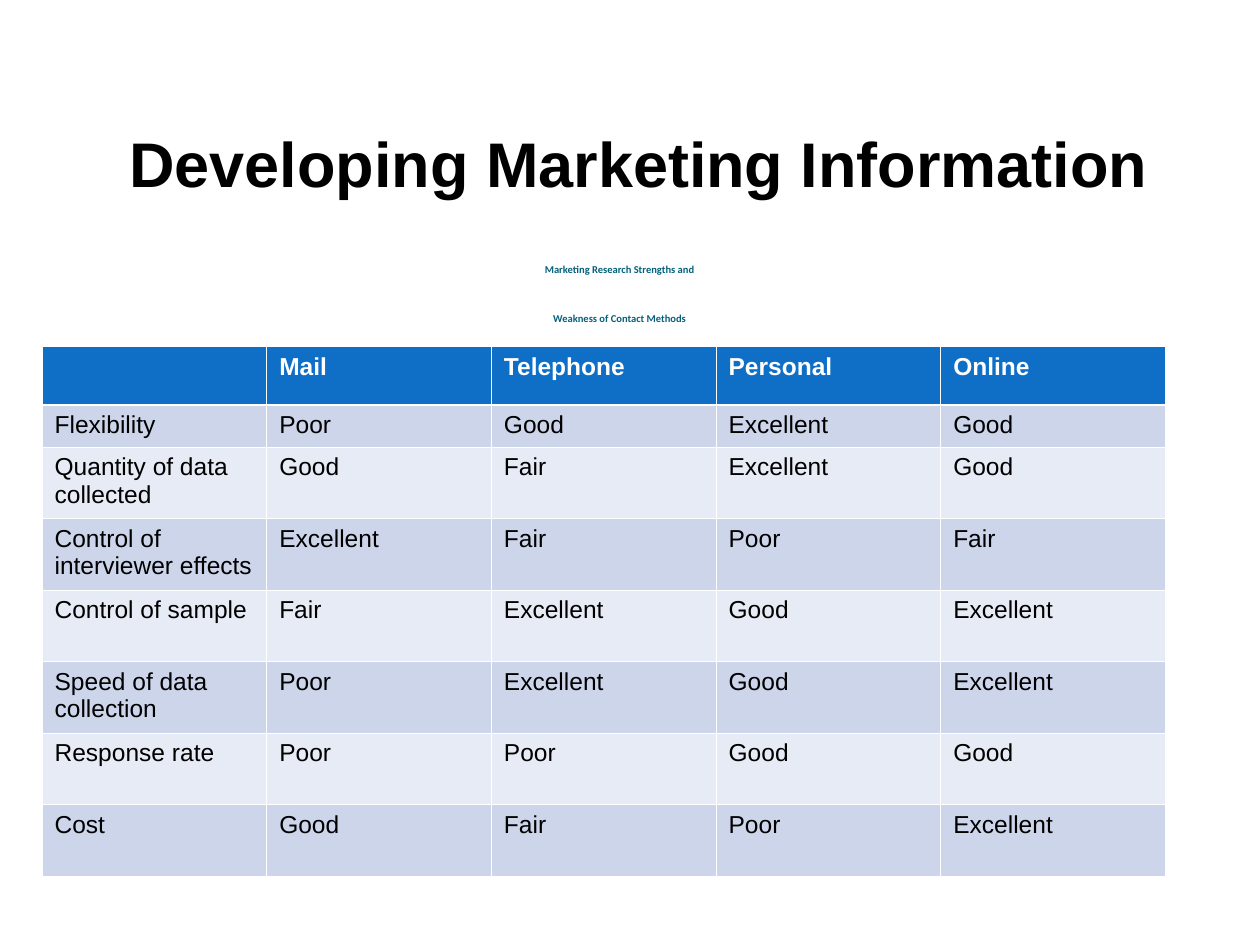
from dataclasses import dataclass

from lxml import etree
from pptx import Presentation
from pptx.dml.color import RGBColor
from pptx.enum.text import MSO_ANCHOR, MSO_AUTO_SIZE, PP_ALIGN
from pptx.oxml.ns import qn
from pptx.util import Pt

CENTER, LEFT = PP_ALIGN.CENTER, PP_ALIGN.LEFT
MIDDLE, TOP = MSO_ANCHOR.MIDDLE, MSO_ANCHOR.TOP
NO_AUTOFIT = MSO_AUTO_SIZE.NONE

COLORS = {
    "black": "000000",
    "white": "FFFFFF",
    "teal": "04617B",
    "header": "0F6FC6",
    "dark_band": "CCD5EA",
    "light_band": "E7EBF5",
}
THIN, THICK = 0.45, 1.47
COLUMN_WIDTH = 128.4
HEADER_HEIGHT, SHORT_HEIGHT, TALL_HEIGHT = 33.5, 24, 40.9


@dataclass
class Rating:
    criterion: str
    scores: tuple[str, ...]
    height: float = TALL_HEIGHT


METHODS = Rating("", ("Mail", "Telephone", "Personal", "Online"), HEADER_HEIGHT)
RATINGS = [
    Rating("Flexibility", ("Poor", "Good", "Excellent", "Good"), SHORT_HEIGHT),
    Rating("Quantity of data collected", ("Good", "Fair", "Excellent", "Good")),
    Rating("Control of interviewer effects", ("Excellent", "Fair", "Poor", "Fair")),
    Rating("Control of sample", ("Fair", "Excellent", "Good", "Excellent")),
    Rating("Speed of data collection", ("Poor", "Excellent", "Good", "Excellent")),
    Rating("Response rate", ("Poor", "Poor", "Good", "Good")),
    Rating("Cost", ("Good", "Fair", "Poor", "Excellent")),
]


def write_text(frame, *lines: str, size: float, color: str, font: str = "Arial",
               bold: bool = False, align=LEFT, spacing: float | None = None) -> None:
    """Fill a text frame with one unbulleted paragraph per line."""
    for index, line in enumerate(lines):
        para = frame.paragraphs[0] if index == 0 else frame.add_paragraph()
        etree.SubElement(para._p.get_or_add_pPr(), qn("a:buNone"))
        para.alignment = align
        para.space_before = Pt(0)
        if spacing:
            para.line_spacing = Pt(spacing)
        span = para.add_run()
        span.text = line
        span.font.name = font
        span.font.size = Pt(size)
        span.font.bold = bold
        span.font.color.rgb = RGBColor.from_string(COLORS[color])


def place(box, left: float, top: float, width: float, height: float, anchor) -> None:
    """Move a placeholder and fix its text layout."""
    box.left, box.top = Pt(left), Pt(top)
    box.width, box.height = Pt(width), Pt(height)
    box.text_frame.word_wrap = True
    box.text_frame.auto_size = NO_AUTOFIT
    box.text_frame.vertical_anchor = anchor


def set_borders(cell, top: float, bottom: float) -> None:
    """Draw white cell borders, with own widths above and below."""
    properties = cell._tc.get_or_add_tcPr()
    widths = {"lnL": THIN, "lnR": THIN, "lnT": top, "lnB": bottom}
    for index, (side, width) in enumerate(widths.items()):
        line = etree.Element(qn(f"a:{side}"), w=str(Pt(width)))
        fill = etree.SubElement(line, qn("a:solidFill"))
        etree.SubElement(fill, qn("a:srgbClr"), val=COLORS["white"])
        properties.insert(index, line)


def add_ratings_table(slide, left: float, top: float) -> None:
    """Add the table of contact methods, banded below its header."""
    rows = [METHODS, *RATINGS]
    column_count = len(METHODS.scores) + 1
    table = slide.shapes.add_table(
        len(rows), column_count, Pt(left), Pt(top),
        Pt(COLUMN_WIDTH * column_count), Pt(sum(row.height for row in rows))).table
    for column in table.columns:
        column.width = Pt(COLUMN_WIDTH)

    for row_index, row in enumerate(rows):
        table.rows[row_index].height = Pt(row.height)
        is_header = row_index == 0
        band = "dark_band" if row_index % 2 else "light_band"
        for column_index, text in enumerate((row.criterion, *row.scores)):
            cell = table.cell(row_index, column_index)
            cell.fill.solid()
            cell.fill.fore_color.rgb = RGBColor.from_string(
                COLORS["header" if is_header else band])
            set_borders(cell, top=THICK if row_index == 1 else THIN,
                        bottom=THICK if is_header else THIN)
            if text:
                write_text(cell.text_frame, text, size=14, bold=is_header,
                           color="white" if is_header else "black")


def main() -> None:
    deck = Presentation()
    deck.slide_width, deck.slide_height = Pt(720), Pt(540)
    page = deck.slides.add_slide(deck.slide_layouts[1])

    # Title
    title = page.shapes.title
    place(title, 0, 48, 720, 90, MIDDLE)
    write_text(title.text_frame, " Developing Marketing Information",
               size=36, color="black", bold=True, align=CENTER)

    # Subtitle
    subtitle = page.placeholders[1]
    place(subtitle, 72, 126, 564, 30, TOP)
    write_text(subtitle.text_frame, "Marketing Research Strengths and",
               "Weakness of Contact Methods", size=6, color="teal",
               font="Calibri", bold=True, align=CENTER, spacing=28)

    # Ratings of contact methods
    add_ratings_table(page, 24, 198)

    deck.save("out.pptx")


if __name__ == "__main__":
    main()
